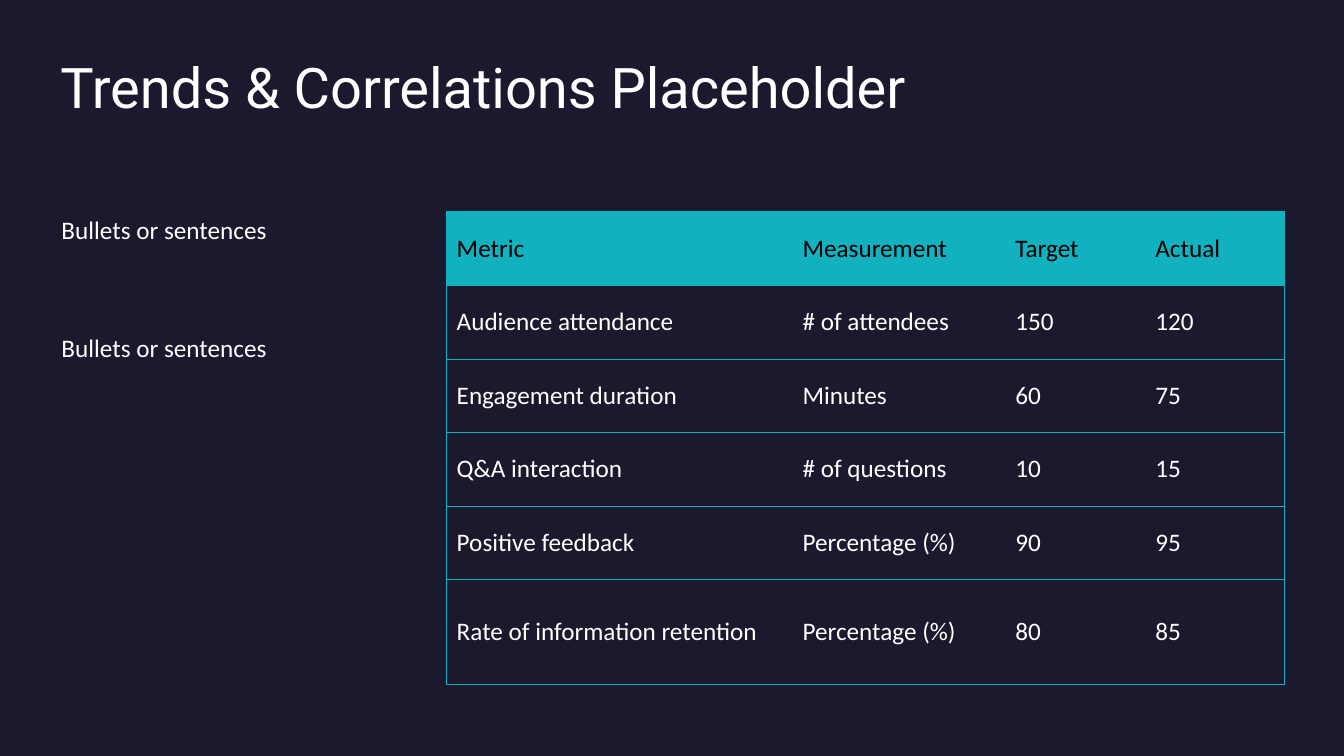
from dataclasses import dataclass

from lxml.etree import SubElement
from pptx import Presentation
from pptx.dml.color import RGBColor
from pptx.enum.text import MSO_ANCHOR
from pptx.oxml.ns import qn
from pptx.util import Inches, Pt


@dataclass(frozen=True)
class Theme:
    back: str = "1B192E"
    accent: str = "12B1BF"
    light: str = "FFFFFF"
    dark: str = "000000"
    head: str = "Roboto"
    body: str = "Calibri"
    big: int = 40
    base: int = 18
    rule: float = 0.5


THEME = Theme()
POINTS = ["Bullets or sentences", "Bullets or sentences"]
METRICS = [
    ["Metric", "Measurement", "Target", "Actual"],
    ["Audience attendance", "# of attendees", "150", "120"],
    ["Engagement duration", "Minutes", "60", "75"],
    ["Q&A interaction", "# of questions", "10", "15"],
    ["Positive feedback", "Percentage (%)", "90", "95"],
    ["Rate of information retention", "Percentage (%)", "80", "85"],
]
WIDTHS = [3.43, 2.11, 1.39, 1.38]
HEIGHTS = [0.73] * 5 + [1.04]


def style(para, face, size, color):
    para.font.name = face
    para.font.size = Pt(size)
    para.font.bold = False
    para.font.color.rgb = RGBColor.from_string(color)


def add_frame(slide, box, right=0, bottom=0):
    """Add a wrapping text box with no left or top inset."""
    frame = slide.shapes.add_textbox(*map(Inches, box)).text_frame
    frame.word_wrap = True
    frame.margin_left = frame.margin_top = 0
    frame.margin_right, frame.margin_bottom = Inches(right), Inches(bottom)
    return frame


def add_title(slide, box, text):
    para = add_frame(slide, box).paragraphs[0]
    para.text = text
    para.line_spacing = 0.9
    style(para, THEME.head, THEME.big, THEME.light)


def add_points(slide, box, points):
    frame = add_frame(slide, box, right=0.1, bottom=0.05)
    for i, text in enumerate(points):
        para = frame.add_paragraph() if i else frame.paragraphs[0]
        para.text = text
        para.line_spacing = 1.1
        para.space_before = Pt(52 if i else 10)
        para.space_after = Pt(8)
        style(para, THEME.body, THEME.base, THEME.light)


def set_edges(cell, shown):
    """Rule the sides named in shown and clear the others."""
    props = cell._tc.get_or_add_tcPr()
    for side in "LRTB":
        line = SubElement(props, qn(f"a:ln{side}"), w=str(Pt(THEME.rule)))
        if side in shown:
            fill = SubElement(line, qn("a:solidFill"))
            SubElement(fill, qn("a:srgbClr"), val=THEME.accent)
        else:
            SubElement(line, qn("a:noFill"))


def add_metrics(slide, box, rows):
    table = slide.shapes.add_table(len(rows), len(WIDTHS), *map(Inches, box)).table
    table.first_row = table.horz_banding = False
    for col, width in zip(table.columns, WIDTHS):
        col.width = Inches(width)
    for row, height in zip(table.rows, HEIGHTS):
        row.height = Inches(height)
    last = len(WIDTHS) - 1
    for r, texts in enumerate(rows):
        for c, text in enumerate(texts):
            cell = table.cell(r, c)
            cell.text = text
            cell.vertical_anchor = MSO_ANCHOR.MIDDLE
            set_edges(cell, "TB" + "L" * (c == 0) + "R" * (c == last))
            if r == 0:
                cell.fill.solid()
                cell.fill.fore_color.rgb = RGBColor.from_string(THEME.accent)
            else:
                cell.fill.background()
            color = THEME.light if r else THEME.dark
            style(cell.text_frame.paragraphs[0], THEME.body, THEME.base, color)


def main():
    deck = Presentation()
    deck.slide_width, deck.slide_height = Inches(13.33), Inches(7.5)
    slide = deck.slides.add_slide(deck.slide_layouts[6])
    slide.background.fill.solid()
    slide.background.fill.fore_color.rgb = RGBColor.from_string(THEME.back)
    add_title(slide, (0.6, 0.6, 12.13, 1.35), "Trends & Correlations Placeholder")
    add_points(slide, (0.61, 2.1, 3.19, 4.7), POINTS)
    add_metrics(slide, (4.43, 2.1, sum(WIDTHS), sum(HEIGHTS)), METRICS)
    deck.save("out.pptx")


if __name__ == "__main__":
    main()
